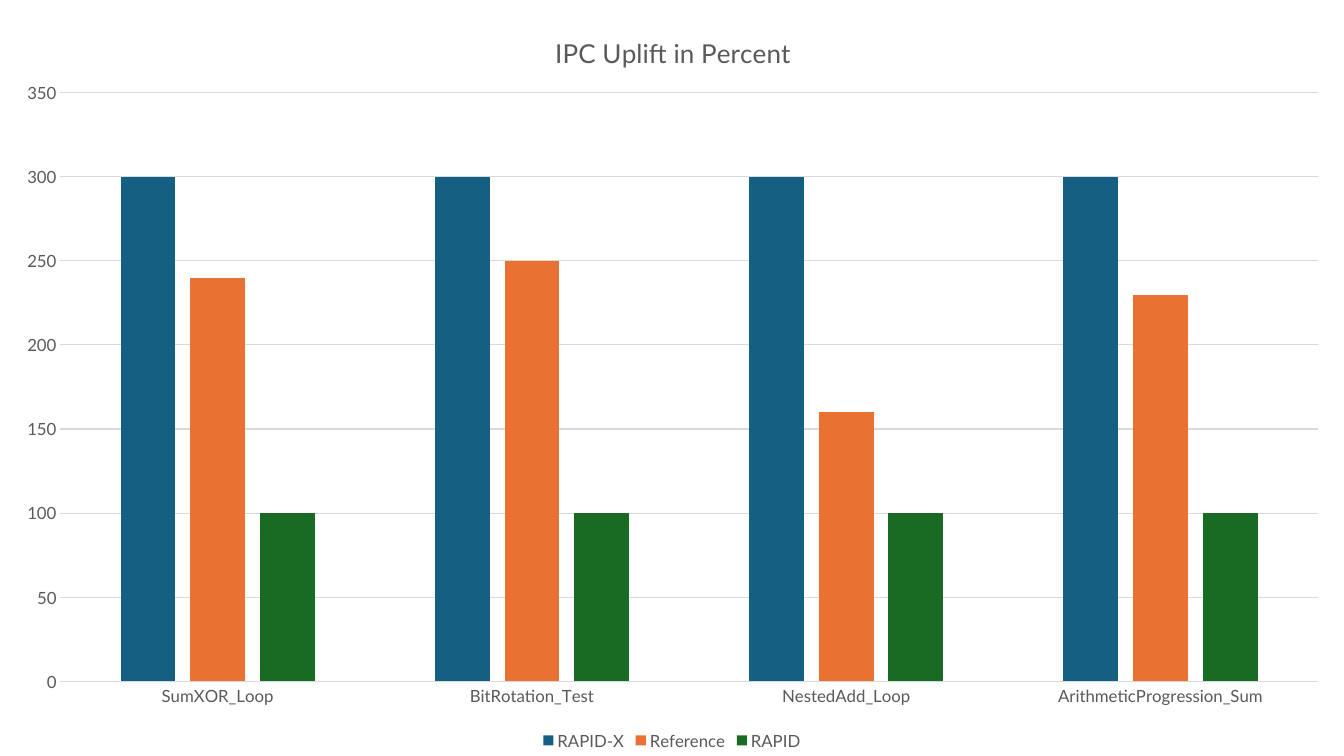
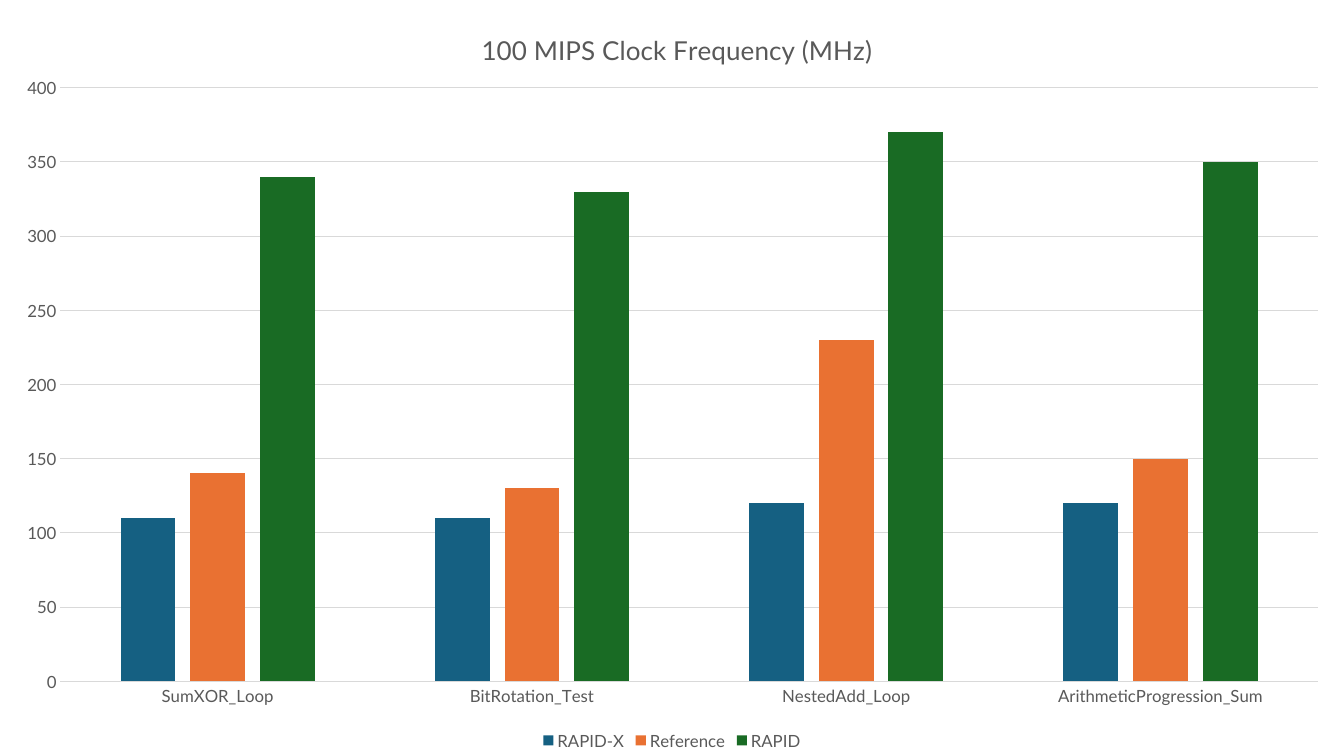
from dataclasses import dataclass

from lxml.etree import SubElement as Sub
from pptx import Presentation
from pptx.chart.data import CategoryChartData as Data
from pptx.dml.color import RGBColor as Rgb
from pptx.enum.chart import XL_CHART_TYPE as Kind
from pptx.enum.chart import XL_LEGEND_POSITION as Spot
from pptx.enum.chart import XL_TICK_MARK as Tick
from pptx.oxml.ns import qn
from pptx.util import Inches, Pt


@dataclass(frozen=True)
class Theme:
    font: str = "Lato"
    ink: str = "595959"
    grid: str = "D9D9D9"
    bars: tuple = ("156082", "E97132", "196B24")
    title: float = 18.6
    label: float = 12
    rule: float = 0.75


THEME = Theme()
WIDE, HIGH = Inches(13.33), Inches(7.5)
TESTS = ("SumXOR_Loop", "BitRotation_Test", "NestedAdd_Loop",
         "ArithmeticProgression_Sum")
CORES = ("RAPID-X", "Reference", "RAPID")

# One entry per slide: title, its left and top, plot top, axis top, rows by core
CHARTS = (
    ("IPC Uplift in Percent", (5.46, 0.29), 0.92, 350,
     ((300, 300, 300, 300), (240, 250, 160, 230), (100, 100, 100, 100))),
    ("100 MIPS Clock Frequency (MHz)", (4.73, 0.26), 0.87, 400,
     ((110, 110, 120, 120), (140, 130, 230, 150), (340, 330, 370, 350))),
)


def assign(item, **vals):
    for name, val in vals.items():
        setattr(item, name, val)


def style(font, size):
    assign(font, name=THEME.font, size=Pt(size), bold=False)
    font.color.rgb = Rgb.from_string(THEME.ink)


def rule(line):
    line.width = Pt(THEME.rule)
    line.color.rgb = Rgb.from_string(THEME.grid)


def place(part, index, inner=False, **box):
    """Fix a chart part at a box in inches, stored as shares of the slide."""
    old = part.find(qn("c:layout"))
    if old is not None:
        part.remove(old)
    lay = part.makeelement(qn("c:layout"))
    part.insert(index, lay)
    man = Sub(lay, qn("c:manualLayout"))
    if inner:
        Sub(man, qn("c:layoutTarget"), val="inner")
    for key in ("x", "y"):
        Sub(man, qn(f"c:{key}Mode"), val="edge")
    for key, val in box.items():
        full = WIDE if key in "xw" else HIGH
        Sub(man, qn(f"c:{key}"), val=f"{Inches(val) / full:.4f}")


def add_title(chart, text, spot):
    chart.has_title = True
    title = chart.chart_title
    title.include_in_layout = False
    para = title.text_frame.paragraphs[0]
    run = para.add_run()
    run.text = text
    style(run.font, THEME.title)
    place(chart.element.find(".//" + qn("c:title")), 1, x=spot[0], y=spot[1])


def add_legend(chart):
    chart.has_legend = True
    legend = chart.legend
    assign(legend, position=Spot.BOTTOM, include_in_layout=False)
    style(legend.font, THEME.label)
    place(chart.element.find(".//" + qn("c:legend")), 1,
          x=5.33, y=7.23, w=2.67, h=0.27)


def set_axes(chart, top):
    cat, val = chart.category_axis, chart.value_axis
    for axis in (cat, val):
        assign(axis, major_tick_mark=Tick.NONE, minor_tick_mark=Tick.NONE)
        style(axis.tick_labels.font, THEME.label)
    rule(cat.format.line)
    assign(val, minimum_scale=0, maximum_scale=top, major_unit=50,
           has_major_gridlines=True)
    val.format.line.fill.background()
    rule(val.major_gridlines.format.line)


def add_bars(slide, title, spot, head, top, rows):
    data = Data()
    data.categories = TESTS
    for core, row in zip(CORES, rows):
        data.add_series(core, row)
    chart = slide.shapes.add_chart(
        Kind.COLUMN_CLUSTERED, 0, 0, WIDE, HIGH, data).chart
    style(chart.font, THEME.label)

    # Columns
    plot = chart.plots[0]
    assign(plot, gap_width=219, overlap=-27, vary_by_categories=False)
    for series, hue in zip(plot.series, THEME.bars):
        series.format.fill.solid()
        series.format.fill.fore_color.rgb = Rgb.from_string(hue)

    # Axes, title, legend and plot area
    set_axes(chart, top)
    add_title(chart, title, spot)
    add_legend(chart)
    place(chart.element.find(".//" + qn("c:plotArea")), 0, inner=True,
          x=0.6, y=head, w=12.47, h=6.76 - head)


def main():
    deck = Presentation()
    assign(deck, slide_width=WIDE, slide_height=HIGH)
    blank = deck.slide_layouts[6]
    for spec_row in CHARTS:
        add_bars(deck.slides.add_slide(blank), *spec_row)
    deck.save("out.pptx")


if __name__ == "__main__":
    main()
